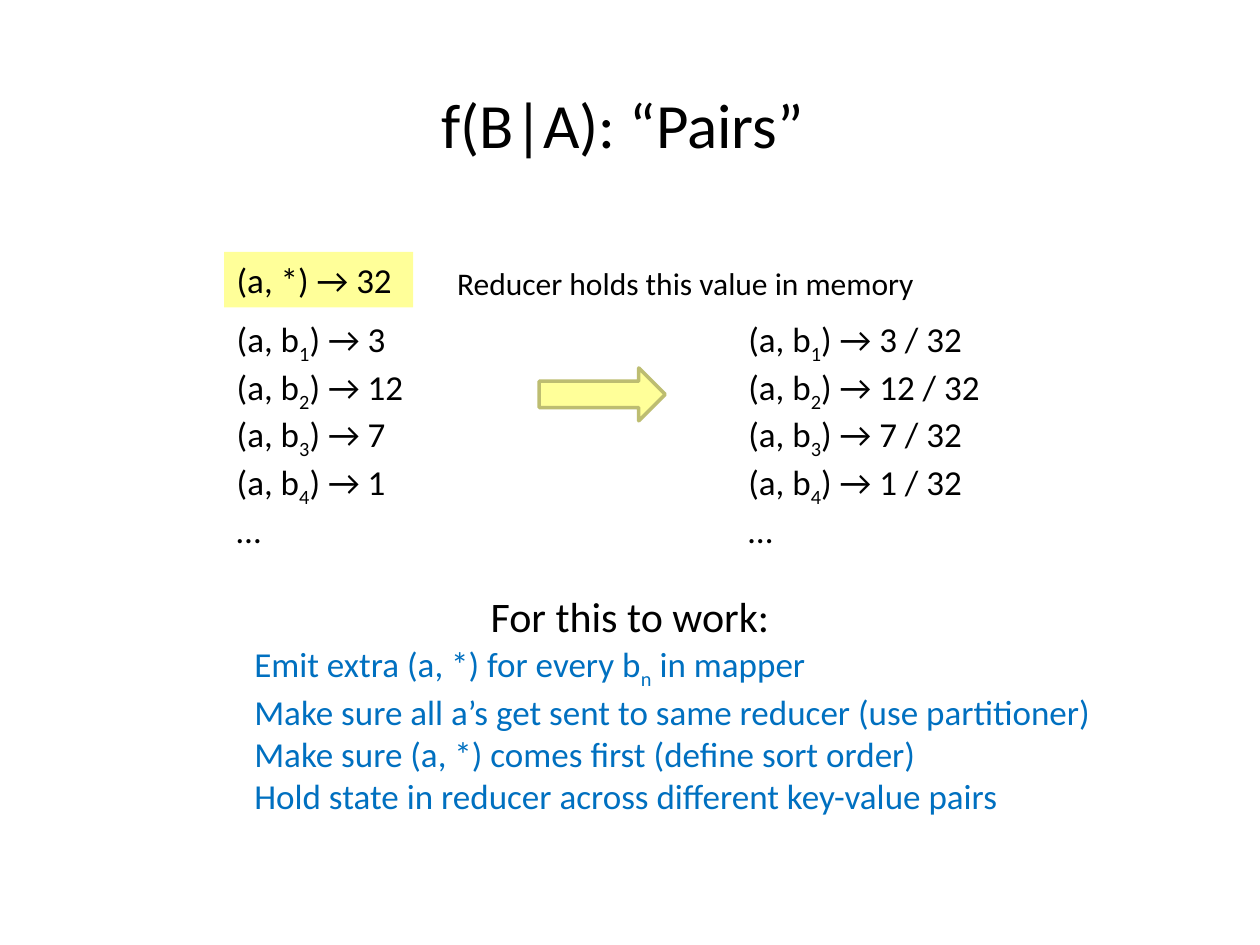
from dataclasses import dataclass

from pptx import Presentation
from pptx.dml.color import RGBColor as RGB
from pptx.enum.shapes import MSO_SHAPE as Shape
from pptx.enum.text import MSO_ANCHOR as Anchor, MSO_AUTO_SIZE as AutoSize, PP_ALIGN as Align
from pptx.util import Pt


@dataclass(frozen=True)
class Theme:
    font: str = "Calibri"
    ink: RGB = RGB(0x00, 0x00, 0x00)
    accent: RGB = RGB(0x00, 0x70, 0xC0)
    highlight: RGB = RGB(0xFF, 0xFF, 0x99)
    outline: RGB = RGB(0xBD, 0xBD, 0x71)
    title: int = 36
    heading: int = 24
    body: int = 20
    note: int = 18


class Builder:
    """Holds the theme and the current page; all lengths are points."""

    def __init__(self, page, theme):
        self.page = page
        self.theme = theme

    def fill_text(self, box, lines, size, color=None, align=Align.LEFT, wrap=False, grow=True):
        """Fill a box with lines; text between underscores is subscript."""
        frame = box.text_frame
        frame.word_wrap = wrap
        frame.auto_size = AutoSize.SHAPE_TO_FIT_TEXT if grow else AutoSize.NONE
        for index, line in enumerate(lines):
            para = frame.add_paragraph() if index else frame.paragraphs[0]
            para.alignment = align
            para.font.name = self.theme.font
            para.font.size = Pt(size)
            para.font.color.rgb = color or self.theme.ink
            for part, words in enumerate(line.split("_")):
                span = para.add_run()
                span.text = words
                if part % 2:
                    span._r.get_or_add_rPr().set("baseline", "-25000")

    def text(self, left, top, width, height, lines, size, **style):
        box = self.page.shapes.add_textbox(Pt(left), Pt(top), Pt(width), Pt(height))
        self.fill_text(box, lines, size, **style)
        return box

    def shape(self, kind, left, top, width, height, line=None):
        box = self.page.shapes.add_shape(kind, Pt(left), Pt(top), Pt(width), Pt(height))
        box.shadow.inherit = False
        box.fill.solid()
        box.fill.fore_color.rgb = self.theme.highlight
        if line:
            box.line.color.rgb = line
            box.line.width = Pt(2)
        else:
            box.line.fill.background()
        return box


def main():
    deck = Presentation()
    deck.slide_width, deck.slide_height = Pt(720), Pt(540)
    theme = Theme()
    build = Builder(deck.slides.add_slide(deck.slide_layouts[6]), theme)

    # Title
    title = build.text(0, 43.2, 720, 54, ["f(B|A): “Pairs” "], theme.title,
                       align=Align.CENTER, wrap=True, grow=False)
    title.text_frame.vertical_anchor = Anchor.MIDDLE

    # Marginal count, kept by the reducer
    total = 32
    marginal = build.shape(Shape.RECTANGLE, 128.16, 144, 108, 31.68)
    build.fill_text(marginal, [f"(a, *) → {total}"], theme.body)
    build.text(254.16, 147.6, 280.08, 28.8, ["Reducer holds this value in memory"], theme.note)

    # Pair counts turned into relative frequencies
    counts = [f"(a, b_{n}_) → {count}" for n, count in enumerate((3, 12, 7, 1), 1)]
    shares = [f"{count} / {total}" for count in counts]
    for left, width, lines in ((128.16, 115.92, counts), (420.48, 147.6, shares)):
        build.text(left, 177.84, width, 128.16, lines + ["…"], theme.body)
    build.shape(Shape.RIGHT_ARROW, 308.16, 210.24, 72, 30.24, line=theme.outline)

    # Requirements
    build.text(0, 334.08, 720, 36, ["For this to work:"], theme.heading,
               align=Align.CENTER, wrap=True)
    build.text(138.24, 363.6, 504, 104.4, [
        "Emit extra (a, *) for every b_n_ in mapper",
        "Make sure all a’s get sent to same reducer (use partitioner)",
        "Make sure (a, *) comes first (define sort order)",
        "Hold state in reducer across different key-value pairs",
    ], theme.body, color=theme.accent, wrap=True)

    deck.save("out.pptx")


if __name__ == "__main__":
    main()
